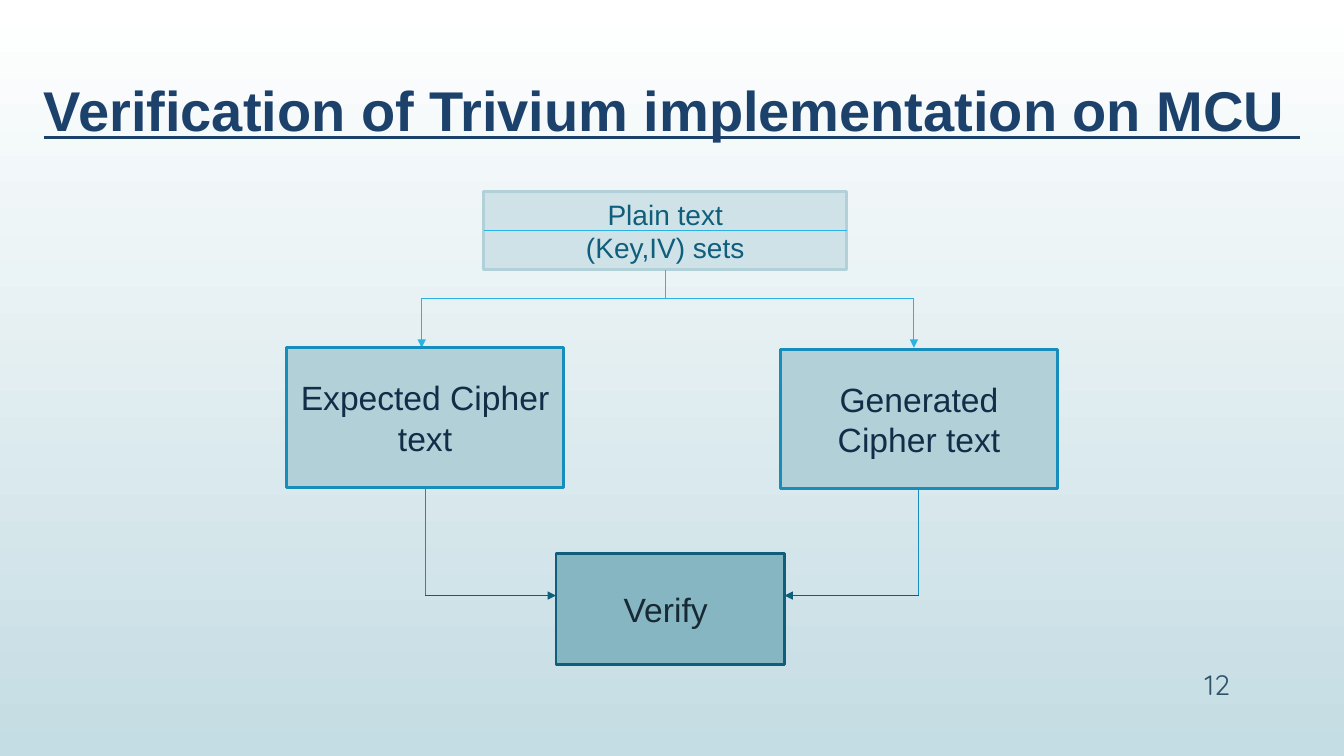
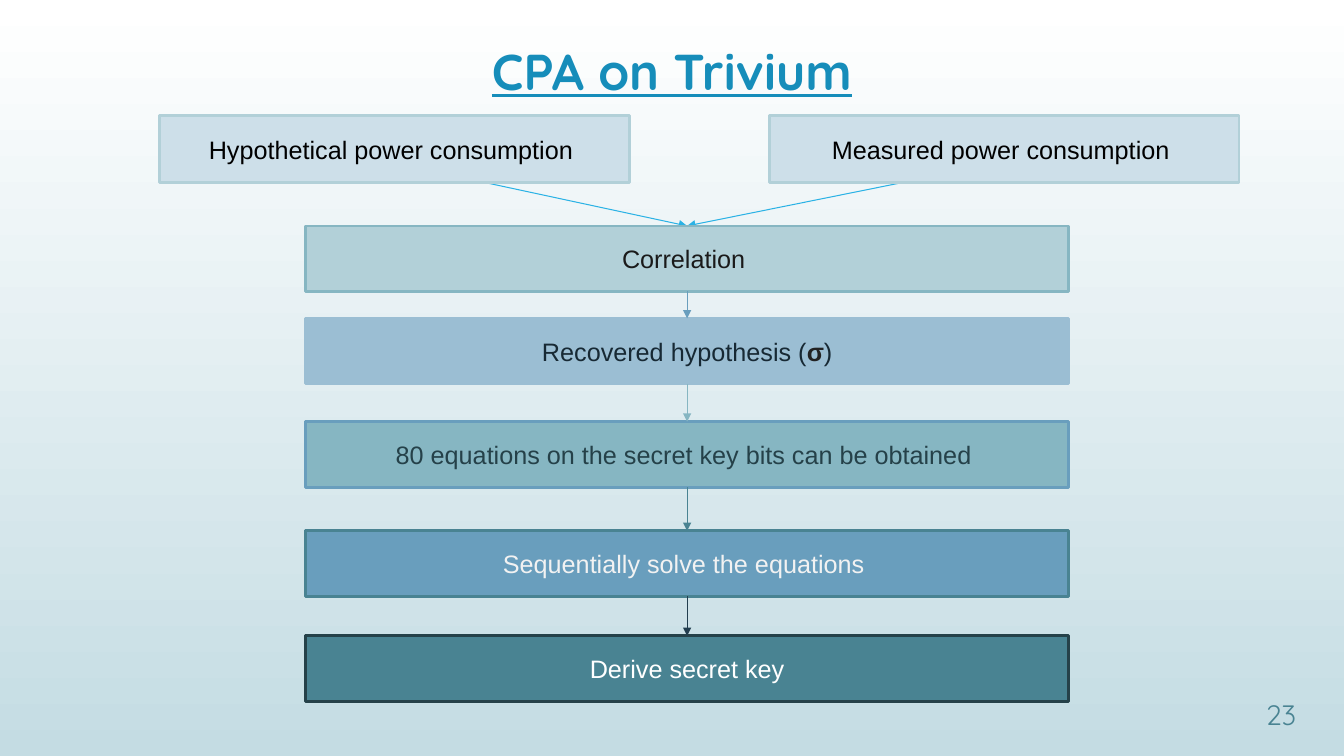
import itertools

import pptx
import pptx.dml.color
import pptx.enum.shapes
import pptx.enum.text
import pptx.oxml.ns
import pptx.util
from lxml import etree

RGBColor = pptx.dml.color.RGBColor
Align = pptx.enum.text.PP_ALIGN
Anchor = pptx.enum.text.MSO_ANCHOR

# Grid: the slide is 160 columns by 90 rows
COLUMNS, ROWS = 160, 90

WHITE = RGBColor(0xFF, 0xFF, 0xFF)
BLACK = RGBColor(0x00, 0x00, 0x00)
MIST = RGBColor(0xC4, 0xDC, 0xE3)
FROST = RGBColor(0xCF, 0xE2, 0xE7)
HAZE = RGBColor(0xCD, 0xDF, 0xE9)
PALE_TEAL = RGBColor(0xB2, 0xD0, 0xD8)
SOFT_TEAL = RGBColor(0x86, 0xB6, 0xC2)
TEAL = RGBColor(0x49, 0x83, 0x92)
DARK_TEAL = RGBColor(0x25, 0x41, 0x49)
SOFT_BLUE = RGBColor(0x9B, 0xBE, 0xD3)
STEEL = RGBColor(0x69, 0x9E, 0xBD)
SKY = RGBColor(0x2B, 0xB2, 0xE5)
AZURE = RGBColor(0x17, 0x8D, 0xBB)
TITLE_AZURE = RGBColor(0x16, 0x8D, 0xBA)
PETROL = RGBColor(0x0F, 0x5E, 0x7C)
SLATE = RGBColor(0x2E, 0x53, 0x69)
DEEP_SLATE = RGBColor(0x23, 0x3E, 0x4F)
TITLE_NAVY = RGBColor(0x1C, 0x42, 0x6C)
NAVY = RGBColor(0x13, 0x2C, 0x48)
INK = RGBColor(0x17, 0x29, 0x34)
CHARCOAL = RGBColor(0x1A, 0x1A, 0x1A)
GRAPHITE = RGBColor(0x22, 0x22, 0x22)
OFF_WHITE = RGBColor(0xF2, 0xF2, 0xF2)


class Deck:
    """Holds the shared style and the slide being built."""

    body_font = "Arial"
    display_font = "Quicksand"

    def __init__(self):
        self.presentation = pptx.Presentation()
        self.presentation.slide_width = pptx.util.Inches(13.33)
        self.presentation.slide_height = pptx.util.Inches(7.5)
        self.slide = None
        # Background shared by all slides
        fill = self.presentation.slide_master.background.fill
        fill.gradient()
        fill.gradient_angle = 270
        for stop, color in zip(fill.gradient_stops, (WHITE, MIST)):
            stop.color.rgb = color

    def x(self, columns):
        return round(self.presentation.slide_width * columns / COLUMNS)

    def y(self, rows):
        return round(self.presentation.slide_height * rows / ROWS)

    def place(self, left, top, width, height):
        return self.x(left), self.y(top), self.x(width), self.y(height)

    def new_slide(self):
        layout = self.presentation.slide_layouts[6]
        self.slide = self.presentation.slides.add_slide(layout)

    def set_text(self, shape, text, size, color, name, align=Align.CENTER):
        frame = shape.text_frame
        frame.word_wrap = True
        frame.text = text
        for paragraph in frame.paragraphs:
            paragraph.alignment = align
            paragraph.font.size = pptx.util.Pt(size)
            paragraph.font.name = name
            paragraph.font.color.rgb = color
        return frame

    def title(self, text, top, size, color, name):
        shape = self.slide.shapes.add_textbox(*self.place(0, top, COLUMNS, 10))
        font = self.set_text(shape, text, size, color, name).paragraphs[0].font
        font.bold = font.underline = True

    def page_number(self, number, left, top, color):
        shape = self.slide.shapes.add_textbox(*self.place(left, top, 10.2, 4.8))
        frame = self.set_text(shape, str(number), 20, color, self.display_font, Align.RIGHT)
        frame.vertical_anchor = Anchor.MIDDLE

    def box(self, place, text, size, fill, line, color):
        shape = self.slide.shapes.add_shape(
            pptx.enum.shapes.MSO_SHAPE.RECTANGLE, *self.place(*place))
        shape.shadow.inherit = False
        shape.fill.solid()
        shape.fill.fore_color.rgb = fill
        shape.line.color.rgb = line
        shape.line.width = pptx.util.Pt(2)
        frame = self.set_text(shape, text, size, color, self.body_font)
        frame.vertical_anchor = Anchor.MIDDLE
        return frame

    def line(self, start, end, color, arrow=False):
        connector = self.slide.shapes.add_connector(
            pptx.enum.shapes.MSO_CONNECTOR.STRAIGHT,
            self.x(start[0]), self.y(start[1]), self.x(end[0]), self.y(end[1]))
        connector.line.color.rgb = color
        connector.line.width = pptx.util.Pt(0.75)
        qn = pptx.oxml.ns.qn
        properties = connector.element.spPr
        if arrow:
            etree.SubElement(properties.find(qn("a:ln")), qn("a:tailEnd"), type="triangle")
        etree.SubElement(properties, qn("a:effectLst"))


def verification_slide(deck):
    deck.new_slide()
    deck.title("Verification of Trivium implementation on MCU ", 8.4, 40,
               TITLE_NAVY, deck.body_font)
    deck.page_number(12, 137.4, 79.1, SLATE)

    # Input box, split by a line
    left, top, width, height = 57.6, 22.8, 43.2, 9.3
    middle, center = top + height / 2, left + width / 2
    deck.box((left, top, width, height), "Plain text\n(Key,IV) sets", 20,
             FROST, PALE_TEAL, PETROL)
    deck.line((left, middle), (left + width, middle), SKY)

    # Fork from the input to both cipher texts, then on to the check
    fork, check = 35.5, 70.9
    cipher_width, cipher_height = 33, 16.6
    verify_left, verify_width = 66.2, 27.2
    deck.line((center, top + height), (center, fork), STEEL)
    deck.line((50.2, fork), (108.8, fork), SKY)
    for text, cipher_left, cipher_top, fork_x, verify_edge in (
            ("Expected Cipher text", 34.1, 41.4, 50.2, verify_left),
            ("Generated Cipher text", 92.9, 41.6, 108.8, verify_left + verify_width)):
        cipher_center = cipher_left + cipher_width / 2
        deck.line((fork_x, fork), (fork_x, 41.4), SKY, arrow=True)
        deck.box((cipher_left, cipher_top, cipher_width, cipher_height), text, 24,
                 PALE_TEAL, AZURE, NAVY)
        deck.line((cipher_center, cipher_top + cipher_height), (cipher_center, check), AZURE)
        deck.line((cipher_center, check), (verify_edge, check), PETROL, arrow=True)
    deck.box((verify_left, 65.9, verify_width, 13.2), "Verify ", 24,
             SOFT_TEAL, PETROL, INK)


def correlation_slide(deck):
    deck.new_slide()
    deck.title("CPA on Trivium", 4.2, 36, TITLE_AZURE, deck.display_font)
    deck.page_number(23, 145.3, 82.6, TEAL)

    left, width, height = 36.4, 90.8, 7.8
    center = left + width / 2
    # Top, text, fill, line, text colour, colour of the arrow below
    steps = (
        (26.9, "Correlation ", PALE_TEAL, SOFT_TEAL, CHARCOAL, STEEL),
        (37.9, "Recovered hypothesis (", SOFT_BLUE, SOFT_BLUE, INK, SOFT_TEAL),
        (50.2, "80 equations on the secret key bits can be obtained ",
         SOFT_TEAL, STEEL, DARK_TEAL, TEAL),
        (63.2, "Sequentially solve the equations ", STEEL, TEAL, OFF_WHITE, DEEP_SLATE),
        (75.7, "Derive secret key", TEAL, DARK_TEAL, WHITE, None),
    )

    # Two sources feeding the first step
    for text, source_left, arrow_x in (
            ("Hypothetical power consumption ", 19, 57.6),
            ("Measured power consumption ", 91.6, 107.6)):
        deck.line((arrow_x, 21.7), (center, steps[0][0]), SKY, arrow=True)
        deck.box((source_left, 13.8, 55.9, 7.9), text, 18, HAZE, PALE_TEAL, BLACK)

    # Chain of steps
    frames = [deck.box((left, top, width, height), text, 18, fill, line, color)
              for top, text, fill, line, color, _ in steps]
    sigma = frames[1].paragraphs[0].add_run()
    sigma.text = "σ"
    sigma.font.bold = True
    sigma.font.color.rgb = GRAPHITE
    frames[1].paragraphs[0].add_run().text = ")"
    for step, following in zip(steps, itertools.islice(steps, 1, None)):
        deck.line((center, step[0] + height), (center, following[0]), step[-1], arrow=True)


def main():
    deck = Deck()
    verification_slide(deck)
    correlation_slide(deck)
    deck.presentation.save("out.pptx")


if __name__ == "__main__":
    main()
